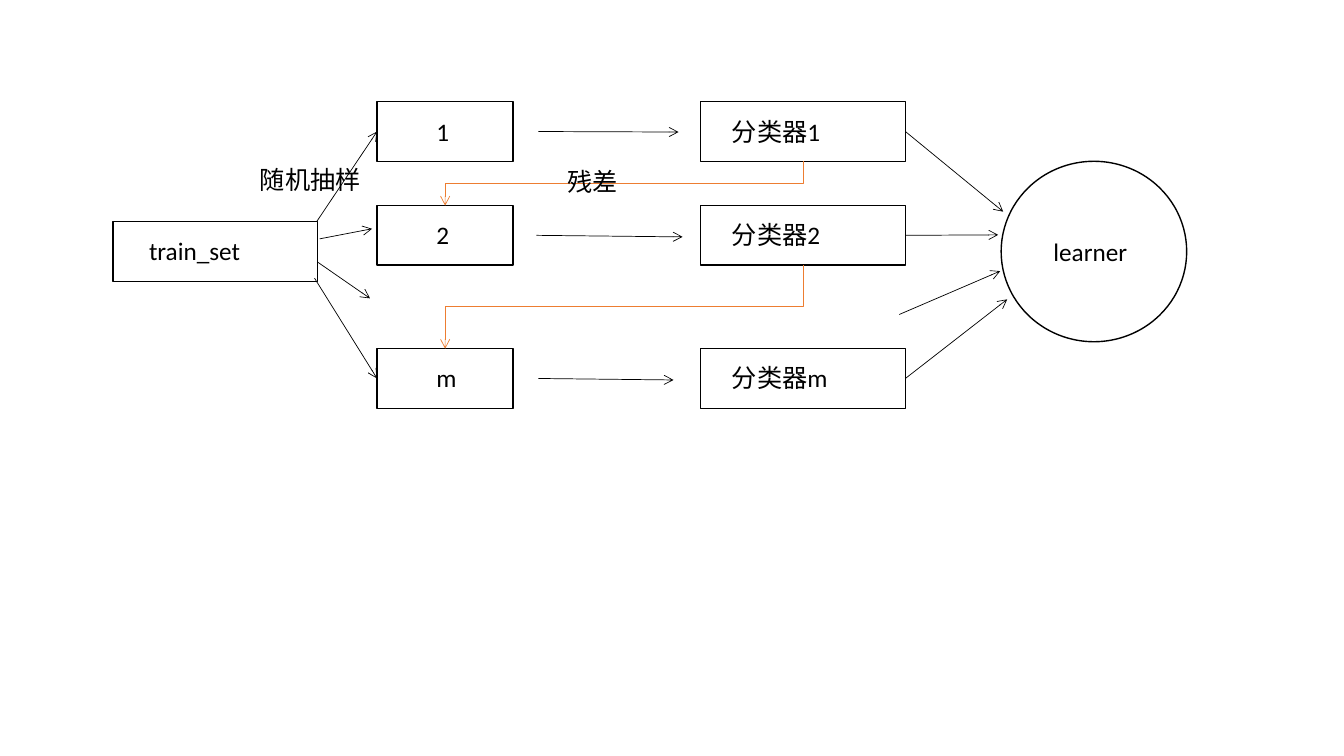
from lxml.etree import SubElement
from pptx import Presentation
from pptx.dml.color import RGBColor
from pptx.enum.shapes import MSO_CONNECTOR, MSO_SHAPE
from pptx.enum.text import MSO_AUTO_SIZE
from pptx.oxml.ns import qn
from pptx.util import Inches, Pt

# Content: one row per round, (sample, classifier)
ROUNDS = [("1", "分类器1"), ("2", "分类器2"), ("m", "分类器m")]
SOURCE, RESULT = "train_set", "learner"
NOTES = [("随机抽样", 2.48, 1.58, 1.35), ("残差", 5.53, 1.6, 1.26)]
COLORS = {"ink": "000000", "loop": "ED7D31"}

# Grid in inches: column lefts and widths, row tops
ROWS = [1.01, 2.04, 3.46]
HIGH = 0.59
TRAIN = (1.12, 2.2, 2.03, HIGH)
SAMPLE, SAMPLE_W = 3.74, 1.35
MODEL, MODEL_W = 6.95, 2.03
CIRCLE = (9.93, 1.6, 1.84, 1.79)
EDGE = MODEL + MODEL_W
MIDS = [top + HIGH / 2 for top in ROWS]

# Straight arrows: x1, y1, x2, y2
FAN_OUT = [(3.14, 2.2, SAMPLE, MIDS[0]), (3.17, 2.37, 3.69, 2.27),
           (3.15, 2.6, 3.67, 2.96), (3.12, 2.76, SAMPLE, MIDS[2])]
ACROSS = [(5.34, MIDS[0], 6.73, 1.31), (5.32, MIDS[1], 6.77, 2.35),
          (5.34, MIDS[2], 6.68, 3.77)]
FAN_IN = [(EDGE, MIDS[0], 9.95, 2.1), (EDGE, MIDS[1], 9.9, 2.33),
          (EDGE, MIDS[2], 9.99, 2.97), (8.92, 3.12, 9.92, 2.69)]

deck = Presentation()
deck.slide_width, deck.slide_height = Inches(13.33), Inches(7.5)
slide = deck.slides.add_slide(deck.slide_layouts[6])


def paint(name):
    return RGBColor.from_string(COLORS[name])


def frame(kind, *at):
    shape = slide.shapes.add_shape(kind, *map(Inches, at))
    shape.shadow.inherit = False
    shape.fill.background()
    shape.line.color.rgb = paint("ink")
    shape.line.width = Pt(1)


def label(text, left, top, width, size=18, color="ink", font="Calibri"):
    box = slide.shapes.add_textbox(*map(Inches, (left, top, width, 0.4)))
    body = box.text_frame
    body.word_wrap = True
    body.auto_size = MSO_AUTO_SIZE.SHAPE_TO_FIT_TEXT
    run = body.paragraphs[0].add_run()
    run.text = text
    run.font.size, run.font.name = Pt(size), font
    run.font.color.rgb = paint(color)


def arrow(*ends, kind=MSO_CONNECTOR.STRAIGHT, color="ink"):
    line = slide.shapes.add_connector(kind, *map(Inches, ends))
    line.line.color.rgb = paint(color)
    line.line.width = Pt(0.5)
    SubElement(line.line._get_or_add_ln(), qn("a:tailEnd"), type="arrow")
    SubElement(line._element.spPr, qn("a:effectLst"))
    return line


def loop(x1, y1, x2, y2):
    """Elbow that leaves downwards: a box turned by a quarter."""
    midx, midy = (x1 + x2) / 2, (y1 + y2) / 2
    halfw, halfh = (y2 - y1) / 2, (x1 - x2) / 2
    line = arrow(midx - halfw, midy - halfh, midx + halfw, midy + halfh,
                 kind=MSO_CONNECTOR.ELBOW, color="loop")
    line._element.spPr.find(qn("a:xfrm")).set("rot", str(90 * 60000))


# Boxes and circle
frame(MSO_SHAPE.RECTANGLE, *TRAIN)
for top in ROWS:
    frame(MSO_SHAPE.RECTANGLE, SAMPLE, top, SAMPLE_W, HIGH)
    frame(MSO_SHAPE.RECTANGLE, MODEL, top, MODEL_W, HIGH)
frame(MSO_SHAPE.OVAL, *CIRCLE)

# Arrows and residual loops
for ends in FAN_OUT + ACROSS + FAN_IN:
    arrow(*ends)
for top, below in zip(ROWS, ROWS[1:]):
    loop(MODEL + MODEL_W / 2, top + HIGH, SAMPLE + SAMPLE_W / 2, below)

# Labels
for top, (sample, model) in zip(ROWS, ROUNDS):
    label(sample, SAMPLE + 0.49, top + 0.09, 1.1)
    label(model, MODEL + 0.21, top + 0.09, 1.82)
label(SOURCE, TRAIN[0] + 0.26, TRAIN[1] + 0.09, 1.57)
label(RESULT, CIRCLE[0] + 0.42, CIRCLE[1] + 0.7, 1.35)
for note in NOTES:
    label(*note)

deck.save("out.pptx")
